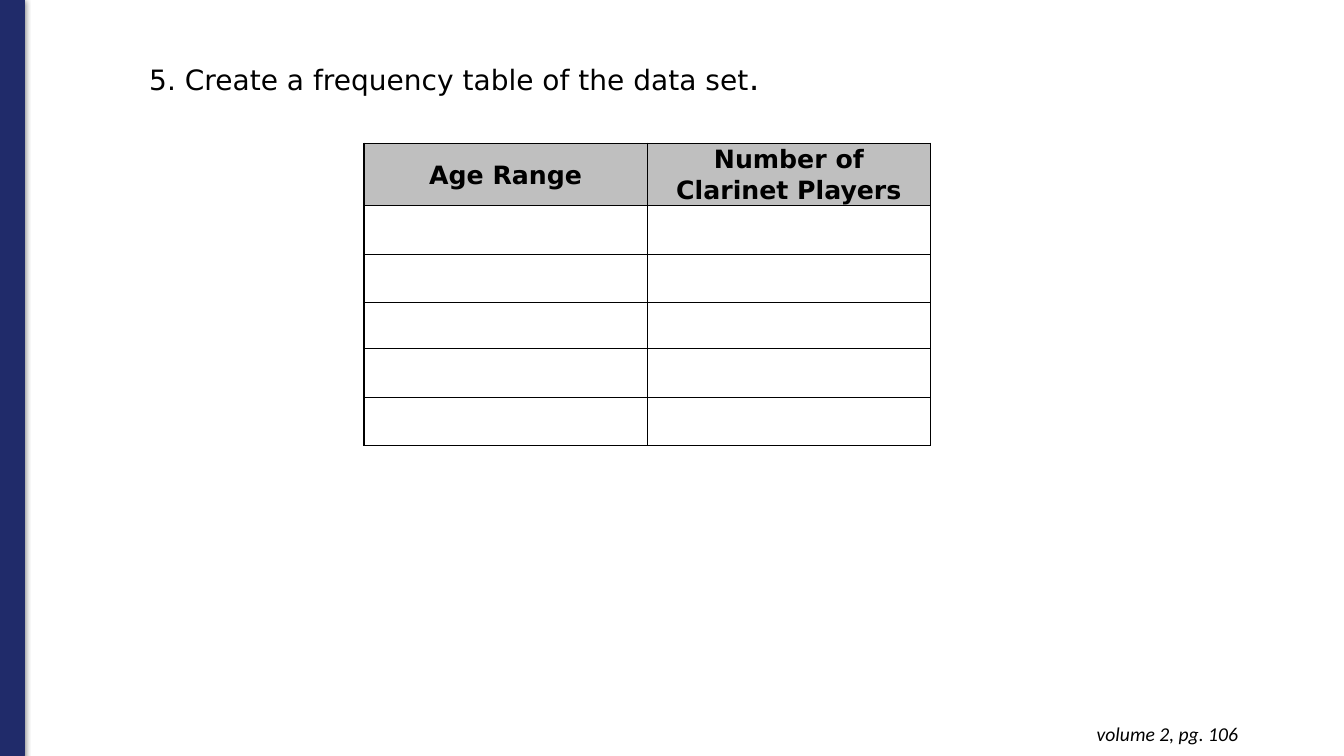
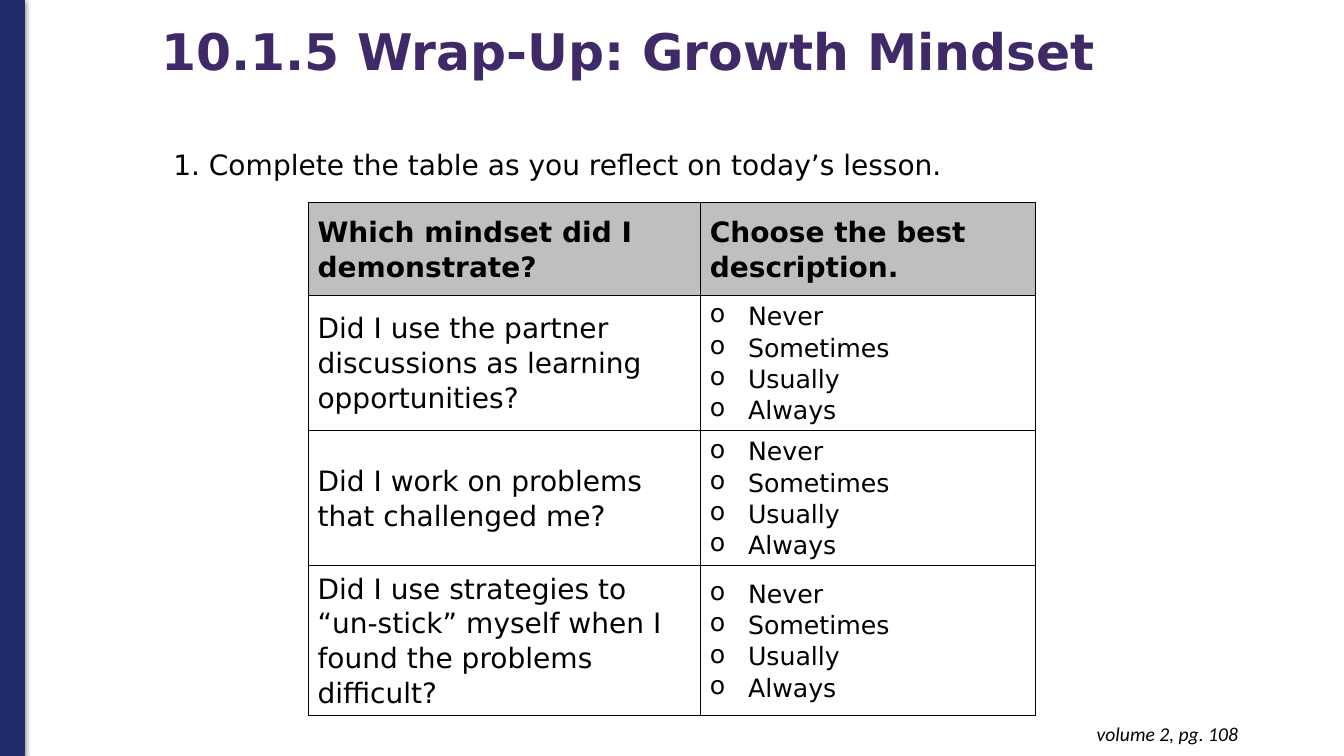
from lxml import etree
from pptx import Presentation
from pptx.dml.color import RGBColor
from pptx.enum import shapes, text
from pptx.oxml import parse_xml
from pptx.util import Inches, Pt

HUES = {"navy": "202B6A", "plum": "3F2A67", "ink": "000000", "gray": "BFBFBF"}
SANS, NOTE = "DejaVu Sans", "Calibri"
LEFT, MID, RIGHT = text.PP_ALIGN.LEFT, text.PP_ALIGN.CENTER, text.PP_ALIGN.RIGHT
NS = "http://schemas.openxmlformats.org/drawingml/2006/main"

RATES = ["Never", "Sometimes", "Usually", "Always"]
ASKS = [
    "Did I use the partner discussions as learning opportunities?",
    "Did I work on problems that challenged me?",
    "Did I use strategies to “un-stick” myself when I found the problems difficult?",
]
AGES = {
    "at": (3.61, 1.42), "cols": [2.81, 2.81], "pad": (0.07, 0),
    "rows": [0.59, 0.48, 0.48, 0.46, 0.48, 0.48],
    "cells": [["Age Range", "Number of Clarinet Players"]] + [["", ""]] * 5,
    "head": {"size": 18, "align": MID},
}
MINDS = {
    "at": (3.06, 2.01), "cols": [3.89, 3.32], "pad": (0.09, 0.05),
    "rows": [0.92] + [1.28] * 3,
    "cells": [["Which mindset did I demonstrate?", "Choose the best description."]]
    + [[ask, RATES] for ask in ASKS],
    "head": {"size": 20, "align": LEFT},
}


def rgb(hue):
    return RGBColor.from_string(HUES[hue])


def node(tag, inner="", **attrs):
    """Build one DrawingML element."""
    item = parse_xml(f'<a:{tag} xmlns:a="{NS}">{inner}</a:{tag}>')
    for key, val in attrs.items():
        item.set(key, str(val))
    return item


def ink(hue, inner=""):
    return f'<a:srgbClr val="{HUES[hue]}">{inner}</a:srgbClr>'


def add_run(para, words, size, hue="ink", name=SANS, bold=False, italic=False):
    run = para.add_run()
    run.text = words
    looks = {"size": Pt(size), "name": name, "bold": bold, "italic": italic}
    for key, val in looks.items():
        setattr(run.font, key, val)
    run.font.color.rgb = rgb(hue)


def write(para, words, size, align=LEFT, gap=1.07, **look):
    para.alignment, para.line_spacing = align, gap
    add_run(para, words, size, **look)


def place(shape, left, top, width, height):
    spots = {"left": left, "top": top, "width": width, "height": height}
    for key, val in spots.items():
        setattr(shape, key, Inches(val))


def set_frame(frame, anchor, pad=(0.1, 0.05)):
    looks = {
        "word_wrap": True, "auto_size": text.MSO_AUTO_SIZE.NONE,
        "vertical_anchor": anchor,
        "margin_left": Inches(pad[0]), "margin_right": Inches(pad[0]),
        "margin_top": Inches(pad[1]), "margin_bottom": Inches(pad[1]),
    }
    for key, val in looks.items():
        setattr(frame, key, val)
    return frame.paragraphs[0]


def add_box(slide, spot, pad=(0.1, 0.05)):
    box = slide.shapes.add_textbox(*map(Inches, spot))
    return set_frame(box.text_frame, text.MSO_ANCHOR.TOP, pad)


def set_title(slide, spot, anchor):
    place(slide.shapes.title, *spot)
    return set_frame(slide.shapes.title.text_frame, anchor)


def add_slide(deck, page):
    """Add a slide with the side band and the page note."""
    slide = deck.slides.add_slide(deck.slide_layouts[5])
    band = slide.shapes.add_shape(
        shapes.MSO_SHAPE.RECTANGLE, *map(Inches, (0, -0.01, 0.24, 7.51)))
    band.fill.solid()
    band.fill.fore_color.rgb = band.line.color.rgb = rgb("navy")
    band.line.width = Pt(0.75)
    band.shadow.inherit = False
    glow = node("outerShdw", ink("ink", '<a:alpha val="50000"/>'),
                blurRad=Pt(4.5), dist=Pt(1.5), dir=90 * 60000, rotWithShape=0)
    band._element.spPr.find(f"{{{NS}}}effectLst").append(glow)
    note = add_box(slide, (9.5, 7.06, 2.88, 0.44), (0.1, 0.1))
    write(note, f"volume 2, pg. {page}", 14, RIGHT, 1, name=NOTE, italic=True)
    return slide


def set_bullet(para):
    props = para._p.get_or_add_pPr()
    props.set("marL", str(Inches(0.38)))
    props.set("indent", str(-Inches(0.38)))
    props.append(node("buClr", ink("ink")))
    props.append(node("buChar", char="o"))


def fill_cell(cell, words, pad, head):
    cell.vertical_anchor = text.MSO_ANCHOR.MIDDLE
    cell.margin_left = cell.margin_right = Inches(pad[0])
    cell.margin_top = cell.margin_bottom = Inches(pad[1])
    for side in ("lnL", "lnR", "lnT", "lnB"):
        line = node(side, f"<a:solidFill>{ink('ink')}</a:solidFill>", w=Pt(1))
        cell._tc.get_or_add_tcPr().append(line)
    if head:
        cell.fill.solid()
        cell.fill.fore_color.rgb = rgb("gray")
    else:
        cell.fill.background()
    frame = cell.text_frame
    if isinstance(words, list):
        for num, word in enumerate(words):
            para = frame.add_paragraph() if num else frame.paragraphs[0]
            set_bullet(para)
            write(para, word, 18)
    elif words:
        write(frame.paragraphs[0], words, bold=bool(head), **(head or {"size": 20}))


def add_grid(slide, data):
    cols, rows = data["cols"], data["rows"]
    spot = (*data["at"], sum(cols), sum(rows))
    grid = slide.shapes.add_table(len(rows), len(cols), *map(Inches, spot)).table
    for parts, sizes, key in ((grid.columns, cols, "width"), (grid.rows, rows, "height")):
        for part, size in zip(parts, sizes):
            setattr(part, key, Inches(size))
    for r, row in enumerate(data["cells"]):
        for c, words in enumerate(row):
            fill_cell(grid.cell(r, c), words, data["pad"], None if r else data["head"])


def main():
    deck = Presentation()
    deck.slide_width, deck.slide_height = Inches(13.33), Inches(7.5)

    slide = add_slide(deck, 106)
    task = set_title(slide, (1.38, 0.49, 10.82, 0.97), text.MSO_ANCHOR.TOP)
    write(task, "5. Create a frequency table of the data set", 20)
    add_run(task, ".", 24)
    add_grid(slide, AGES)

    slide = add_slide(deck, 108)
    title = set_title(slide, (1.5, -0.19, 10.88, 1.45), text.MSO_ANCHOR.MIDDLE)
    write(title, "10.1.5 Wrap-Up: Growth Mindset", 36, gap=0.9, hue="plum", bold=True)
    task = add_box(slide, (1.62, 1.41, 9.11, 0.44))
    write(task, "1. Complete the table as you reflect on today’s lesson.", 20, gap=1)
    add_grid(slide, MINDS)

    deck.save("out.pptx")


if __name__ == "__main__":
    main()
